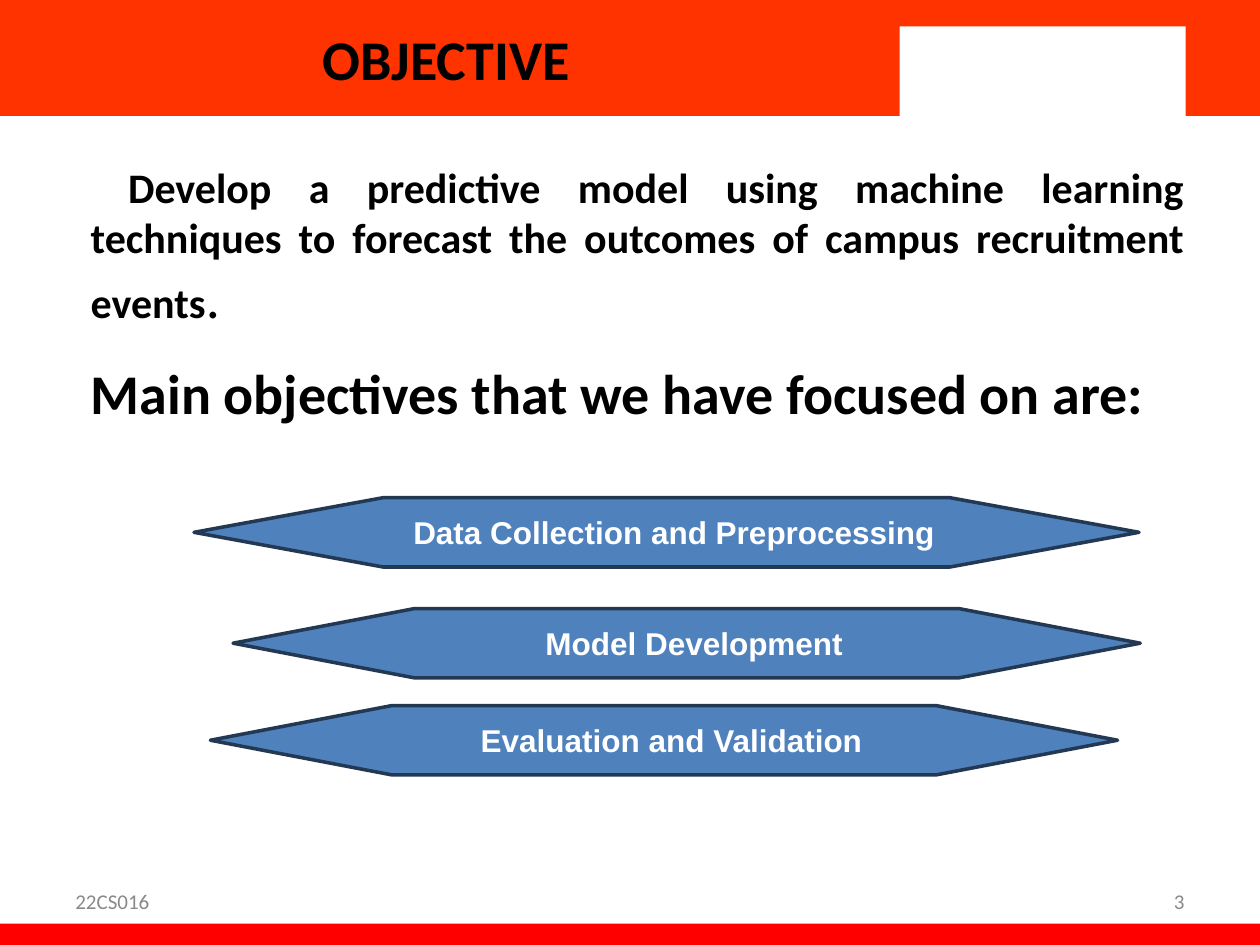
from lxml import etree
from pptx import Presentation
from pptx.dml.color import RGBColor
from pptx.enum.shapes import MSO_SHAPE
from pptx.enum.text import MSO_ANCHOR, MSO_AUTO_SIZE, PP_ALIGN
from pptx.oxml.ns import qn
from pptx.util import Inches, Pt

RECT, HEX = MSO_SHAPE.RECTANGLE, MSO_SHAPE.FLOWCHART_PREPARATION
MIDDLE, TOP = MSO_ANCHOR.MIDDLE, MSO_ANCHOR.TOP
LEFT, CENTER, RIGHT = PP_ALIGN.LEFT, PP_ALIGN.CENTER, PP_ALIGN.RIGHT
JUSTIFY = PP_ALIGN.JUSTIFY
FIXED = MSO_AUTO_SIZE.NONE

ORANGE = RGBColor(0xFF, 0x33, 0x00)
RED = RGBColor(0xFF, 0x00, 0x00)
WHITE = RGBColor(0xFF, 0xFF, 0xFF)
BLACK = RGBColor(0x00, 0x00, 0x00)
GRAY = RGBColor(0x89, 0x89, 0x89)
BLUE = RGBColor(0x4F, 0x81, 0xBD)
NAVY = RGBColor(0x23, 0x39, 0x53)

HEAD = {"name": "Calibri", "size": Pt(32), "bold": True}
LEAD = {**HEAD, "size": Pt(24)}
STOP = {**HEAD, "bold": False}
NOTE = {"name": "Calibri", "size": Pt(12)}
STEP = {"name": "Arial", "size": Pt(18), "bold": True}
INDENT = 0.12

STEPS = [
    ("Data Collection and Preprocessing", (1.54, 3.95, 7.5, 0.55)),
    ("Model Development", (1.85, 4.83, 7.2, 0.55)),
    ("Evaluation and Validation", (1.67, 5.6, 7.2, 0.55)),
]


def place(shape, box):
    names = ("left", "top", "width", "height")
    for name, value in zip(names, box):
        setattr(shape, name, Inches(value))


def add_run(para, text, form, color):
    run = para.add_run()
    run.text = text
    for name, value in form.items():
        setattr(run.font, name, value)
    run.font.color.rgb = color


def set_frame(shape, anchor):
    frame = shape.text_frame
    form = {"word_wrap": True, "auto_size": FIXED, "vertical_anchor": anchor}
    for name, value in form.items():
        setattr(frame, name, value)
    return frame


def set_indent(para, bullet=True):
    props = para._p.get_or_add_pPr()
    props.set("marL", str(Inches(INDENT)))
    props.set("indent", "0")
    if not bullet:
        etree.SubElement(props, qn("a:buNone"))


def add_block(slide, kind, box, fill):
    shape = slide.shapes.add_shape(kind, *map(Inches, box))
    shape.shadow.inherit = False
    shape.fill.solid()
    shape.fill.fore_color.rgb = fill
    shape.line.fill.background()
    return shape


def add_bands(slide):
    """Draw the bands behind the placeholders."""
    bands = [
        ((0, 0, 10, 0.92), ORANGE),
        ((0, 7.33, 10, 0.17), RED),
        ((7.14, 0.21, 2.27, 0.75), WHITE),
    ]
    tree = slide.shapes.element
    for place_at, (box, fill) in enumerate(bands, 2):
        tree.insert(place_at, add_block(slide, RECT, box, fill).element)


def fill_title(slide, box):
    title = slide.shapes.title
    place(title, box)
    para = set_frame(title, MIDDLE).paragraphs[0]
    para.alignment = CENTER
    add_run(para, "OBJECTIVE", HEAD, BLACK)


def fill_body(slide, box):
    body = slide.placeholders[1]
    place(body, box)
    frame = set_frame(body, TOP)
    goal, focus = frame.paragraphs[0], frame.add_paragraph()
    for para, gap in ((goal, 3.6), (focus, 16.8)):
        para.alignment = JUSTIFY
        para.space_before = Pt(gap)
        set_indent(para, bullet=False)
    add_run(goal, " Develop a predictive model using machine learning "
            "techniques to forecast the outcomes of campus recruitment "
            "events", LEAD, BLACK)
    add_run(goal, ".", STOP, BLACK)
    add_run(focus, "Main objectives that we have focused on are:", HEAD, BLACK)


def add_note(slide, box, text, align):
    note = slide.shapes.add_textbox(*map(Inches, box))
    para = set_frame(note, MIDDLE).paragraphs[0]
    para.alignment = align
    add_run(para, text, NOTE, GRAY)


def add_step(slide, box, text):
    step = add_block(slide, HEX, box, BLUE)
    step.line.color.rgb = NAVY
    step.line.width = Pt(2)
    para = set_frame(step, MIDDLE).paragraphs[0]
    para.alignment = CENTER
    set_indent(para)
    add_run(para, text, STEP, WHITE)


def main():
    deck = Presentation()
    deck.slide_width, deck.slide_height = Inches(10), Inches(7.5)
    slide = deck.slides.add_slide(deck.slide_layouts[1])
    add_bands(slide)
    fill_title(slide, (0, 0, 7.08, 0.92))
    fill_body(slide, (0.5, 1.23, 9, 5.34))
    add_note(slide, (0.5, 6.95, 2.33, 0.4), "22CS016", LEFT)
    add_note(slide, (7.17, 6.95, 2.33, 0.4), "3", RIGHT)
    for text, box in STEPS:
        add_step(slide, box, text)
    deck.save("out.pptx")


if __name__ == "__main__":
    main()
